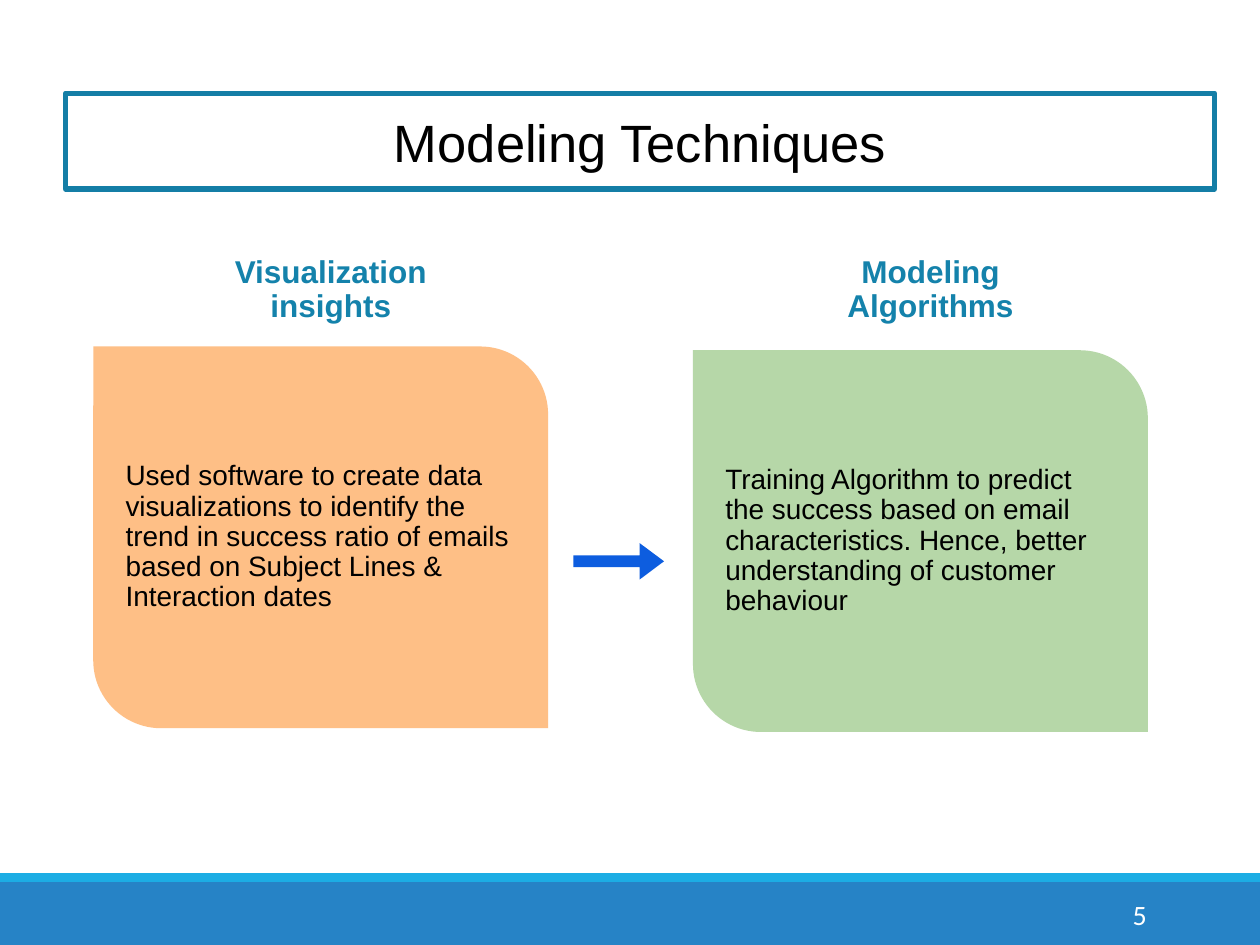
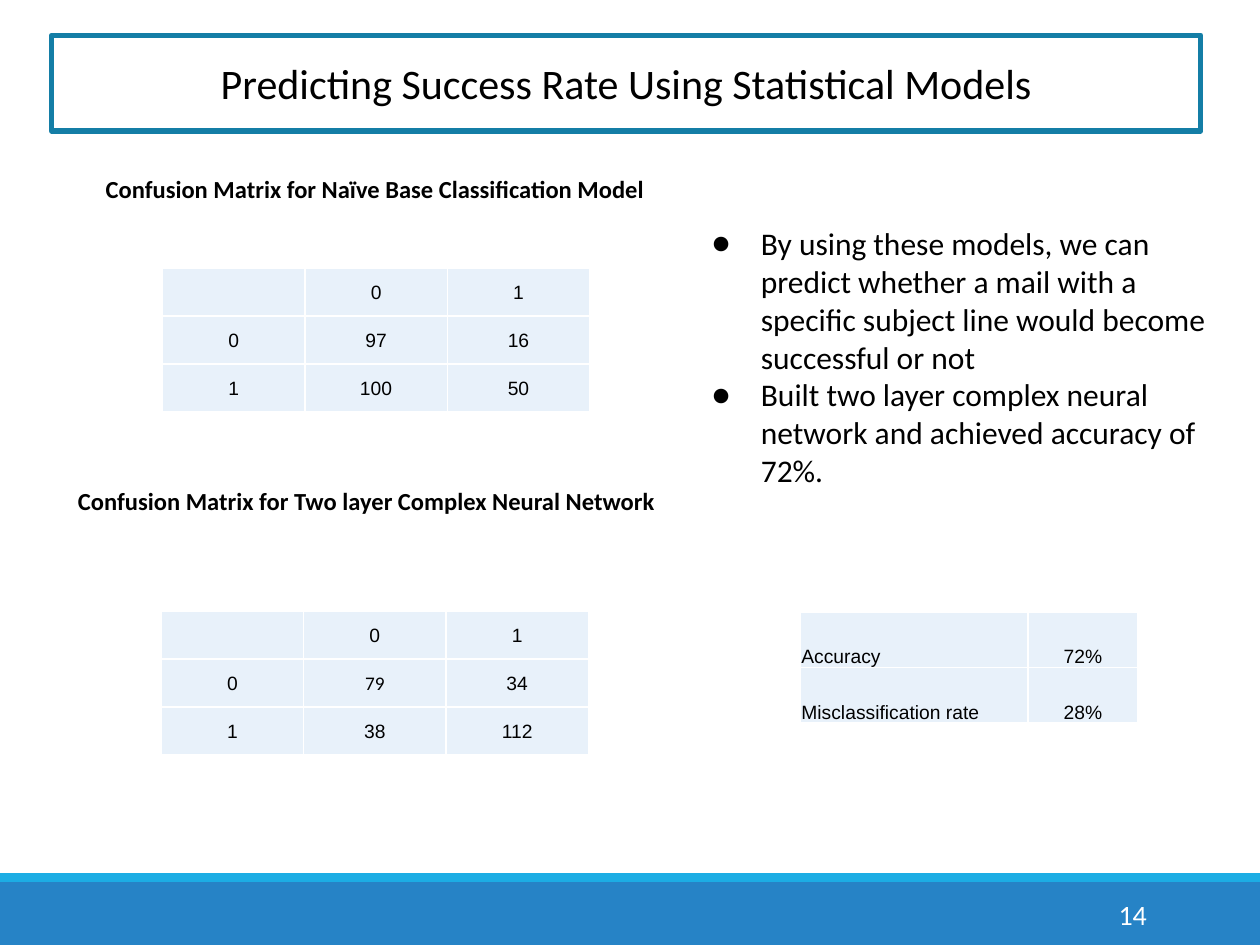
from lxml import etree
from pptx import Presentation
from pptx.dml.color import RGBColor as RGB
from pptx.enum.shapes import MSO_SHAPE as SHAPE
from pptx.enum.text import MSO_ANCHOR as ANCHOR, PP_ALIGN as ALIGN
from pptx.oxml.ns import qn
from pptx.util import Inches, Pt

COLORS = {
    "black": "000000", "white": "FFFFFF",
    "band": "2683C6", "stripe": "1CADE4",
    "frame": "147EA6", "heading": "1482AB",
    "orange": "FEBF86", "green": "B6D7A8",
    "arrow": "0D5DDF", "cell": "E8F1FA",
}


def rgb(name):
    return RGB.from_string(COLORS[name])


def add_bullet(p, font, char="●"):
    pPr = p._p.get_or_add_pPr()
    clr = etree.SubElement(pPr, qn("a:buClr"))
    etree.SubElement(clr, qn("a:srgbClr"), val=COLORS["black"])
    etree.SubElement(pPr, qn("a:buFont"), typeface=font)
    etree.SubElement(pPr, qn("a:buChar"), char=char)


def write(tf, text, size=16, font="Arial", color="black", bold=False,
          align=ALIGN.LEFT, anchor=ANCHOR.TOP, insets=(0.1, 0.1, 0.1, 0.1),
          spacing=None, indent=(0, 0), bullet=False):
    """Fill a text frame; each line of the text becomes a paragraph."""
    tf.word_wrap = True
    tf.vertical_anchor = anchor
    tf.margin_left, tf.margin_top, tf.margin_right, tf.margin_bottom = map(Inches, insets)
    for i, line in enumerate(text.split("\n")):
        p = tf.add_paragraph() if i else tf.paragraphs[0]
        p.alignment = align
        if spacing:
            p.line_spacing = spacing
        pPr = p._p.get_or_add_pPr()
        pPr.set("marL", str(Inches(indent[0])))
        pPr.set("indent", str(Inches(indent[1])))
        if bullet:
            add_bullet(p, font)
        r = p.add_run()
        r.text = line
        r.font.size, r.font.name, r.font.bold = Pt(size), font, bold
        r.font.color.rgb = rgb(color)


def set_borders(cell, color="white", width=1):
    tcPr = cell._tc.get_or_add_tcPr()
    for side in ("lnL", "lnR", "lnT", "lnB"):
        ln = etree.SubElement(tcPr, qn(f"a:{side}"), w=str(Pt(width)))
        fill = etree.SubElement(ln, qn("a:solidFill"))
        etree.SubElement(fill, qn("a:srgbClr"), val=COLORS[color])


class Deck:
    SLIM = (0.1, 0.05, 0.1, 0.05)

    def __init__(self):
        self.prs = Presentation()
        self.prs.slide_width, self.prs.slide_height = Inches(10), Inches(7.5)
        self.s = None

    def new_slide(self, number):
        self.s = self.prs.slides.add_slide(self.prs.slide_layouts[6])
        self.shape((0, 7, 10, 0.5), "band")
        self.shape((0, 6.93, 10, 0.07), "stripe")
        self.text((8.12, 7.06, 1.08, 0.4), str(number), font="Calibri", color="white",
                  align=ALIGN.RIGHT, anchor=ANCHOR.MIDDLE, insets=self.SLIM)

    def shape(self, box, fill, kind=SHAPE.RECTANGLE, adj=(), line=None):
        sp = self.s.shapes.add_shape(kind, *map(Inches, box))
        sp.shadow.inherit = False
        for i, value in enumerate(adj):
            sp.adjustments[i] = value
        sp.fill.solid()
        sp.fill.fore_color.rgb = rgb(fill)
        if line:
            sp.line.color.rgb = rgb(line)
            sp.line.width = Pt(3)
        else:
            sp.line.fill.background()
        return sp

    def text(self, box, text, **fmt):
        tb = self.s.shapes.add_textbox(*map(Inches, box))
        write(tb.text_frame, text, **fmt)

    def title(self, left, top, text, **fmt):
        sp = self.shape((left, top, 9.12, 0.76), "white", line="frame")
        write(sp.text_frame, text, align=ALIGN.CENTER, anchor=ANCHOR.MIDDLE,
              insets=self.SLIM, **fmt)

    def heading(self, box, text):
        self.text(box, text, size=18, color="heading", bold=True,
                  align=ALIGN.CENTER, spacing=0.9)

    def card(self, left, top, fill, text):
        sp = self.shape((left, top, 3.61, 3.03), fill,
                        SHAPE.ROUND_2_DIAG_RECTANGLE, adj=(0, 0.178))
        # The preset's text area is already inset by its round corners
        write(sp.text_frame, text, anchor=ANCHOR.MIDDLE, spacing=0.9)

    def caption(self, box, text, indent):
        self.text(box, text, size=14, font="Calibri", bold=True,
                  insets=self.SLIM, indent=(indent, 0))

    def table(self, left, top, widths, row_height, rows, anchor=ANCHOR.MIDDLE,
              first_align=ALIGN.CENTER, fonts=None):
        fonts = fonts or {}
        box = (left, top, sum(widths), row_height * len(rows))
        tbl = self.s.shapes.add_table(len(rows), len(widths), *map(Inches, box)).table
        tbl.first_row = tbl.horz_banding = False
        for col, width in zip(tbl.columns, widths):
            col.width = Inches(width)
        for i, row in enumerate(rows):
            tbl.rows[i].height = Inches(row_height)
            for j, value in enumerate(row):
                cell = tbl.cell(i, j)
                set_borders(cell)
                cell.fill.solid()
                cell.fill.fore_color.rgb = rgb("cell")
                if value:
                    write(cell.text_frame, value, size=11, font=fonts.get((i, j), "Arial"),
                          align=ALIGN.CENTER if j else first_align)
                cell.vertical_anchor = anchor
                cell.margin_left = cell.margin_top = cell.margin_right = Inches(0.01)
                cell.margin_bottom = 0

    def confusion_matrix(self, left, top, counts, **fmt):
        rows = [["", "0", "1"]]
        rows += [[str(i), *map(str, row)] for i, row in enumerate(counts)]
        self.table(left, top, [1.13] * 3, 0.38, rows, **fmt)


def modeling_techniques(deck):
    deck.new_slide(5)
    deck.title(0.52, 0.74, "Modeling Techniques", size=30)

    # Two steps joined by an arrow
    deck.heading((1.48, 1.93, 2.29, 0.65), "Visualization\ninsights")
    deck.heading((6.54, 1.93, 1.69, 0.65), "Modeling Algorithms")
    deck.card(0.74, 2.75, "orange",
              "Used software to create data visualizations to identify the trend in "
              "success ratio of emails based on Subject Lines & Interaction dates")
    deck.card(5.5, 2.78, "green",
              "Training Algorithm to predict the success based on email "
              "characteristics. Hence, better understanding of customer behaviour")
    deck.shape((4.55, 4.31, 0.72, 0.29), "arrow", SHAPE.RIGHT_ARROW, adj=(0.32, 0.67))


def statistical_models(deck):
    deck.new_slide(14)
    deck.title(0.41, 0.28, "Predicting Success Rate Using Statistical Models",
               size=24, font="Calibri")

    # Findings
    deck.text((5.44, 1.68, 4.35, 2.4),
              "By using these models, we can predict whether a mail with a specific "
              "subject line would become successful or not\n"
              "Built two layer complex neural network and achieved accuracy of 72%.",
              size=18, font="Calibri", indent=(0.5, -0.39), bullet=True)

    # Confusion matrices
    deck.caption((0.5, 1.33, 4.76, 0.34),
                 "Confusion Matrix for Naïve Base Classification Model", 0.24)
    deck.confusion_matrix(1.29, 2.13, [[97, 16], [100, 50]])
    deck.caption((0.37, 3.81, 4.99, 0.34),
                 "Confusion Matrix for Two layer Complex Neural Network", 0.15)
    deck.confusion_matrix(1.28, 4.85, [[79, 34], [38, 112]], fonts={(1, 1): "Calibri"})

    # Accuracy summary
    deck.table(6.35, 4.86, [1.81, 0.87], 0.44,
               [["Accuracy", "72%"], ["Misclassification rate", "28%"]],
               anchor=ANCHOR.BOTTOM, first_align=ALIGN.LEFT)


def main():
    deck = Deck()
    modeling_techniques(deck)
    statistical_models(deck)
    deck.prs.save("out.pptx")


if __name__ == "__main__":
    main()
